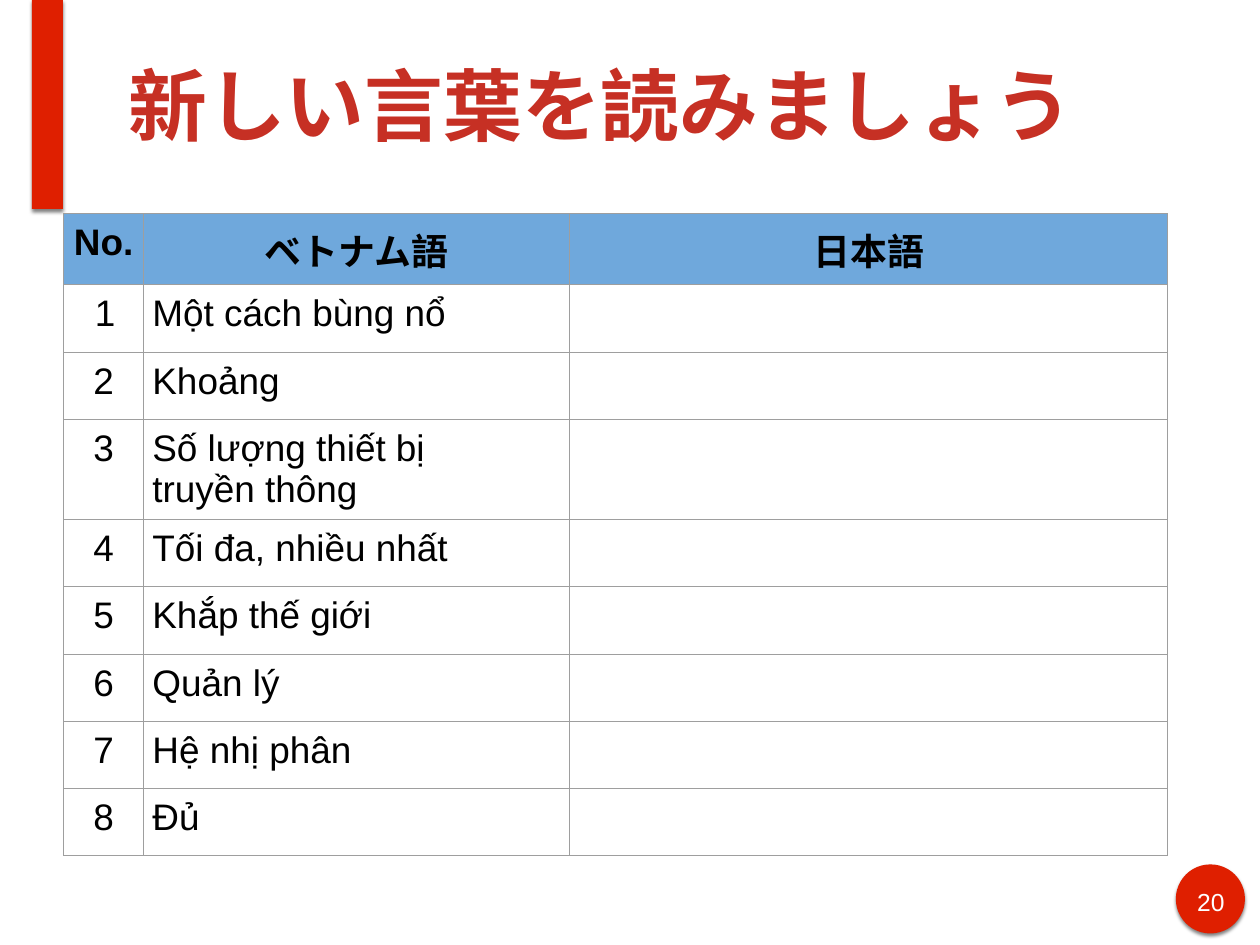
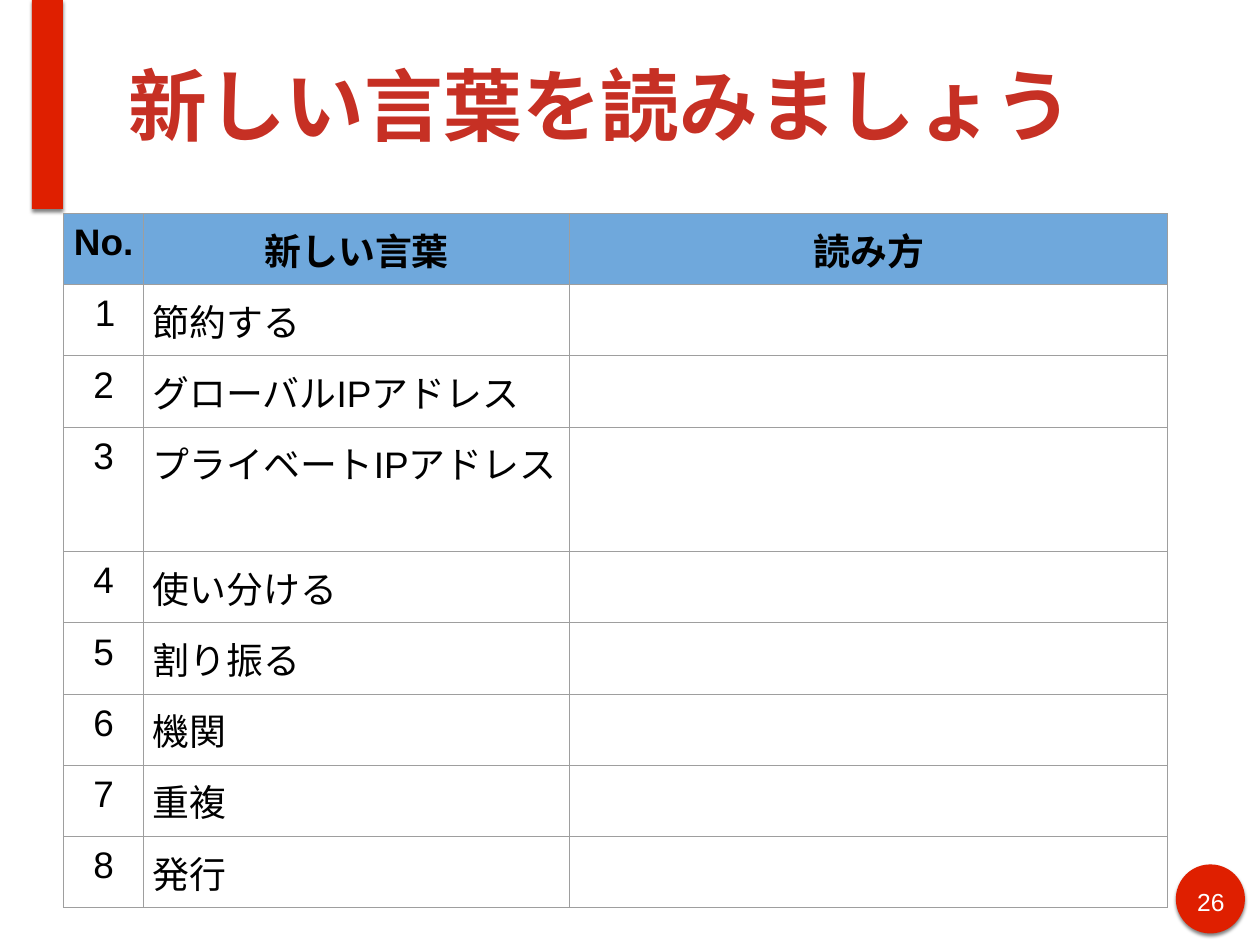
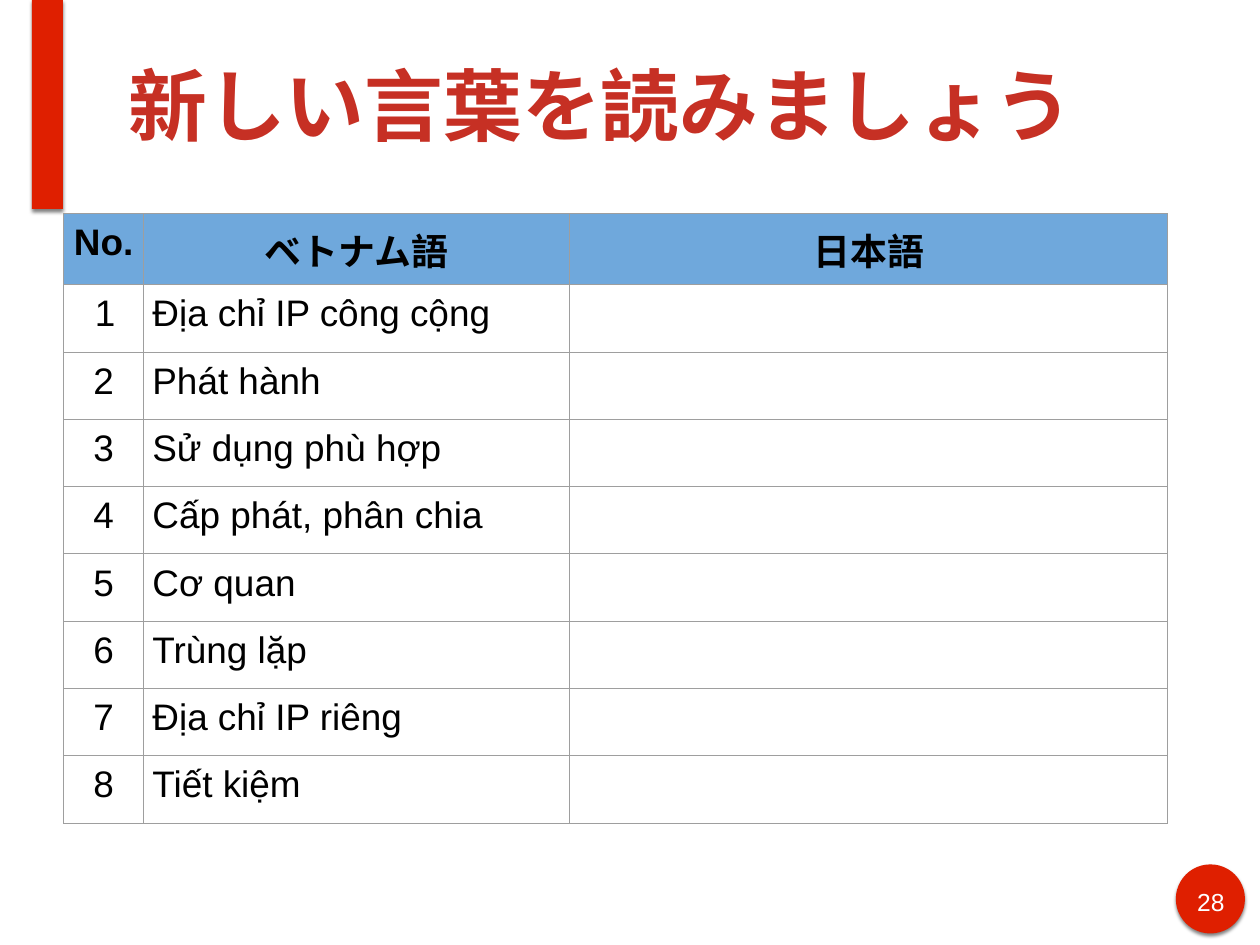
"""Builds three vocabulary slides, each with a numbered word table to fill in."""
from pptx import Presentation
from pptx import util as u
from pptx.dml import color
from pptx.enum import shapes, text
from pptx.oxml import parse_xml
from pptx.oxml import ns

COLORS = {
    "accent": "DF1F00",
    "title": "C63024",
    "header": "6FA8DC",
    "grid": "9E9E9E",
    "ink": "000000",
    "paper": "FFFFFF",
}
FONT = "Arial"
HEADING = "新しい言葉を読みましょう"
COLUMN_WIDTHS = (0.9, 4.81, 6.75)
ROW_HEIGHT = 0.76
LEFT, CENTER = text.PP_ALIGN.LEFT, text.PP_ALIGN.CENTER

LESSONS = [
    ("20", ("ベトナム語", "日本語"), [
        "Một cách bùng nổ", "Khoảng", "Số lượng thiết bị\ntruyền thông",
        "Tối đa, nhiều nhất", "Khắp thế giới", "Quản lý", "Hệ nhị phân", "Đủ"]),
    ("26", ("新しい言葉", "読み方"), [
        "節約する", "グローバルIPアドレス", "プライベートIPアドレス",
        "使い分ける", "割り振る", "機関", "重複", "発行"]),
    ("28", ("ベトナム語", "日本語"), [
        "Địa chỉ IP công cộng", "Phát hành", "Sử dụng phù hợp",
        "Cấp phát, phân chia", "Cơ quan", "Trùng lặp", "Địa chỉ IP riêng",
        "Tiết kiệm"]),
]


def rgb(name):
    return color.RGBColor.from_string(COLORS[name])


def write(frame, content, size=30, ink="ink", bold=False, align=LEFT, indent=None,
          asian_font=None):
    for index, line in enumerate(content.split("\n")):
        paragraph = frame.add_paragraph() if index else frame.paragraphs[0]
        paragraph.alignment = align
        if indent:
            margin, first = indent
            properties = paragraph._p.get_or_add_pPr()
            properties.set("marL", str(u.Inches(margin)))
            properties.set("indent", str(u.Inches(first)))
        run = paragraph.add_run()
        run.text = line
        run.font.name = FONT
        run.font.size = u.Pt(size)
        run.font.bold = bold
        run.font.color.rgb = rgb(ink)
        if asian_font:
            run.font._element.find(ns.qn("a:latin")).addnext(
                parse_xml(f'<a:ea {ns.nsdecls("a")} typeface="{asian_font}"/>'))


class Deck:
    """Holds the shared style and the slide being built."""

    def __init__(self):
        self.show = Presentation()
        self.show.slide_width = u.Inches(14.22)
        self.show.slide_height = u.Inches(10.67)
        self.slide = None

    def new_slide(self, page):
        self.slide = self.show.slides.add_slide(self.show.slide_layouts[5])
        self.accent(shapes.MSO_SHAPE.OVAL, 13.27, 9.76, 0.78, 0.78)
        self.accent(shapes.MSO_SHAPE.RECTANGLE, 0.36, 0, 0.35, 2.36)
        self.page_number(page)

    def accent(self, preset, *box):
        accent = self.slide.shapes.add_shape(preset, *map(u.Inches, box))
        accent.fill.solid()
        accent.fill.fore_color.rgb = rgb("accent")
        accent.line.fill.background()
        accent.shadow.inherit = False
        accent._element.spPr.find(ns.qn("a:effectLst")).append(parse_xml(
            f'<a:outerShdw {ns.nsdecls("a")} blurRad="{u.Pt(3)}" dist="{u.Pt(2)}"'
            ' dir="5400000" algn="ctr" rotWithShape="0">'
            f'<a:srgbClr val="{COLORS["ink"]}"><a:alpha val="50000"/></a:srgbClr>'
            '</a:outerShdw>'))

    def prepare(self, frame):
        frame.word_wrap = True
        frame.auto_size = text.MSO_AUTO_SIZE.NONE
        frame.margin_left = frame.margin_right = u.Inches(0.06)
        frame.margin_top = frame.margin_bottom = u.Inches(0.06)
        return frame

    def page_number(self, page):
        number = self.slide.shapes.add_textbox(
            *map(u.Inches, (13.42, 9.95, 0.49, 0.39)))
        write(self.prepare(number.text_frame), page, size=20, ink="paper", align=CENTER)

    def title(self, heading):
        title = self.slide.shapes.title
        title.left, title.top, title.width, title.height = map(
            u.Inches, (1.39, 0.12, 12.14, 2.12))
        frame = self.prepare(title.text_frame)
        frame.vertical_anchor = text.MSO_ANCHOR.MIDDLE
        write(frame, heading, size=64, ink="title", bold=True, asian_font=FONT)

    def style_cell(self, cell, fill=None):
        cell.margin_left = cell.margin_right = u.Inches(0.1)
        cell.margin_top = cell.margin_bottom = u.Inches(0.1)
        properties = cell._tc.get_or_add_tcPr()
        for side in "LRTB":
            properties.append(parse_xml(
                f'<a:ln{side} {ns.nsdecls("a")} w="{u.Pt(0.75)}"><a:solidFill>'
                f'<a:srgbClr val="{COLORS["grid"]}"/></a:solidFill></a:ln{side}>'))
        if fill:
            cell.fill.solid()
            cell.fill.fore_color.rgb = rgb(fill)
        else:
            cell.fill.background()

    def word_table(self, languages, words):
        rows = len(words) + 1
        table = self.slide.shapes.add_table(
            rows, len(COLUMN_WIDTHS), u.Inches(0.72), u.Inches(2.41),
            u.Inches(sum(COLUMN_WIDTHS)), u.Inches(rows * ROW_HEIGHT)).table
        table.horz_banding = False
        for column, width in zip(table.columns, COLUMN_WIDTHS):
            column.width = u.Inches(width)
        for row in table.rows:
            row.height = u.Inches(ROW_HEIGHT)
        for cell, label in zip(table.rows[0].cells, ("No.", *languages)):
            self.style_cell(cell, fill="header")
            write(cell.text_frame, label, bold=True, align=CENTER)
        for number, word in enumerate(words, 1):
            number_cell, word_cell, answer_cell = table.rows[number].cells
            for cell in (number_cell, word_cell, answer_cell):
                self.style_cell(cell)
            placing = {"indent": (0.5, -0.25)} if number == 1 else {"align": CENTER}
            write(number_cell.text_frame, str(number), **placing)
            write(word_cell.text_frame, word)


def main():
    deck = Deck()
    for page, languages, words in LESSONS:
        deck.new_slide(page)
        deck.title(HEADING)
        deck.word_table(languages, words)
    deck.show.save("out.pptx")


if __name__ == "__main__":
    main()
